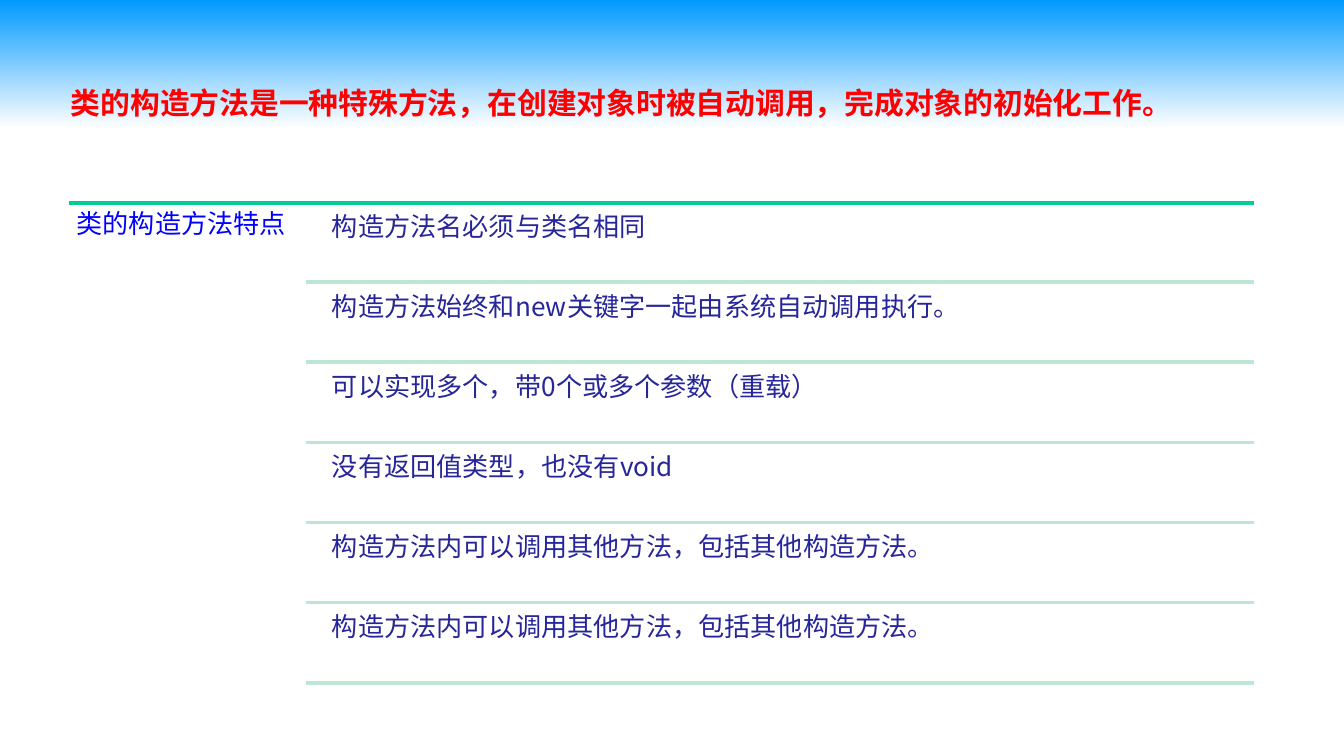
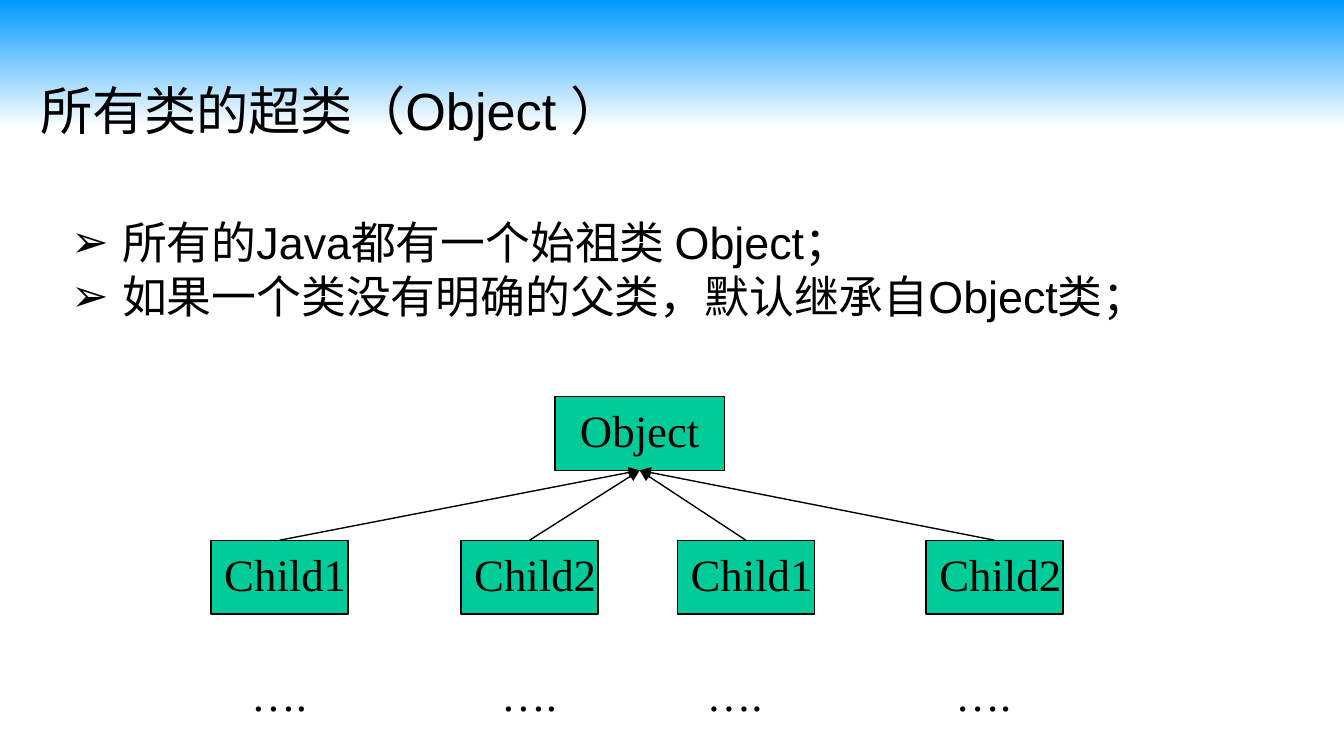
from lxml.etree import SubElement
from pptx import Presentation
from pptx.dml.color import RGBColor
from pptx.enum.shapes import MSO_CONNECTOR, MSO_SHAPE
from pptx.enum.text import MSO_ANCHOR, MSO_AUTO_SIZE, PP_ALIGN
from pptx.oxml.ns import qn
from pptx.util import Inches, Pt

SKY = RGBColor(0x00, 0x99, 0xFF)
WHITE = RGBColor(0xFF, 0xFF, 0xFF)
BLACK = RGBColor(0x00, 0x00, 0x00)
RED = RGBColor(0xFF, 0x00, 0x00)
BLUE = RGBColor(0x00, 0x00, 0xFF)
INDIGO = RGBColor(0x26, 0x26, 0x99)
GREEN = RGBColor(0x00, 0xCC, 0x99)
MINT = RGBColor(0xBD, 0xE7, 0xD4)

CJK = "Noto Sans CJK SC"
SANS = "Arial"
SERIF = "Times New Roman"


def write(tf, text, size=24, font=SANS, color=BLACK, bold=False,
          align=PP_ALIGN.LEFT, spacing=None, bullet=None):
    """Fill a text frame, one paragraph for each line of text."""
    for i, line in enumerate(text.split("\n")):
        p = tf.add_paragraph() if i else tf.paragraphs[0]
        p.alignment = align
        if spacing:
            p.line_spacing = spacing
        if bullet:
            pPr = p._p.get_or_add_pPr()
            pPr.set("marL", str(Inches(0.38)))
            pPr.set("indent", str(-Inches(0.38)))
            SubElement(pPr, qn("a:buFont"), typeface=SANS)
            SubElement(pPr, qn("a:buChar"), char=bullet)
        r = p.add_run()
        r.text = line
        r.font.size = Pt(size)
        r.font.bold = bold
        r.font.color.rgb = color
        r.font.name = font
        SubElement(r._r.get_or_add_rPr(), qn("a:ea"), typeface=CJK)


class Deck:
    def __init__(self):
        self.prs = Presentation()
        self.prs.slide_width = Inches(10)
        self.prs.slide_height = Inches(10) * 9 // 16
        self.s = None

    def slide(self):
        """Start a slide whose blue top fades to white."""
        self.s = self.prs.slides.add_slide(self.prs.slide_layouts[6])
        fill = self.s.background.fill
        fill.gradient()
        fill.gradient_angle = 270
        for stop, pos, color in zip(fill.gradient_stops, (0, 0.17), (SKY, WHITE)):
            stop.position = pos
            stop.color.rgb = color

    def text(self, x, y, w, h, text, wrap=True, grow=True, inset=None, **fmt):
        sp = self.s.shapes.add_textbox(Inches(x), Inches(y), Inches(w), Inches(h))
        tf = sp.text_frame
        tf.word_wrap = wrap
        if grow:
            tf.auto_size = MSO_AUTO_SIZE.SHAPE_TO_FIT_TEXT
        if inset is not None:
            tf.margin_left = tf.margin_right = Inches(inset)
            tf.margin_top = tf.margin_bottom = Inches(inset)
        write(tf, text, **fmt)

    def box(self, x, y, w, h, text, **fmt):
        sp = self.s.shapes.add_shape(MSO_SHAPE.RECTANGLE, Inches(x), Inches(y),
                                     Inches(w), Inches(h))
        sp.shadow.inherit = False
        sp.fill.solid()
        sp.fill.fore_color.rgb = GREEN
        sp.line.color.rgb = BLACK
        sp.line.width = Pt(0.75)
        tf = sp.text_frame
        tf.word_wrap = False
        tf.vertical_anchor = MSO_ANCHOR.TOP
        write(tf, text, font=SERIF, **fmt)
        return sp

    def line(self, x1, y1, x2, y2, color, width):
        c = self.s.shapes.add_connector(MSO_CONNECTOR.STRAIGHT, Inches(x1),
                                        Inches(y1), Inches(x2), Inches(y2))
        c.line.color.rgb = color
        c.line.width = Pt(width)
        SubElement(c._element.spPr, qn("a:effectLst"))
        return c

    def arrow_up(self, child, parent):
        """Join the top of child to the bottom of parent."""
        c = self.line(0, 0, 1, 1, BLACK, 0.75)
        c.begin_connect(child, 0)
        c.end_connect(parent, 2)
        SubElement(c.line._get_or_add_ln(), qn("a:tailEnd"), type="triangle")


def constructor_slide(deck):
    deck.slide()
    deck.text(0.43, 0.53, 8.9, 0.4,
              "类的构造方法是一种特殊方法，在创建对象时被自动调用，完成对象的初始化工作。",
              size=16, font=CJK, color=RED, bold=True, spacing=1.2)

    # Ruled list: heading on the left, features on the right
    right = 9.33
    style = dict(grow=False, inset=0.06, size=14, font=CJK, spacing=0.9)
    deck.line(0.51, 1.51, right, 1.51, GREEN, 2)
    deck.text(0.51, 1.51, 1.76, 3.6, "类的构造方法特点", color=BLUE, **style)
    features = [
        "构造方法名必须与类名相同",
        "构造方法始终和new关键字一起由系统自动调用执行。",
        "可以实现多个，带0个或多个参数（重载）",
        "没有返回值类型，也没有void",
        "构造方法内可以调用其他方法，包括其他构造方法。",
        "构造方法内可以调用其他方法，包括其他构造方法。",
    ]
    first_rule, last_rule = 2.1, 5.08
    pitch = (last_rule - first_rule) / (len(features) - 1)
    for i, feature in enumerate(features):
        rule = first_rule + i * pitch
        deck.text(2.41, rule - 0.57, 6.92, 0.57, feature, color=INDIGO, **style)
        deck.line(2.28, rule, right, rule, MINT, 2)


def object_slide(deck):
    deck.slide()
    deck.text(0.2, 0.53, 5.2, 0.57, "所有类的超类（Object ）", size=28)
    deck.text(0.43, 1.55, 8.38, 0.91,
              "所有的Java都有一个始祖类 Object；\n"
              "如果一个类没有明确的父类，默认继承自Object类；",
              wrap=False, bullet="➢")

    # Class tree: left of each child box and of the dots below it
    parent = deck.box(4.13, 2.95, 1.26, 0.55, "Object", align=PP_ALIGN.CENTER)
    children = [("Child1", 1.57, 1.77), ("Child2", 3.43, 3.63),
                ("Child1", 5.04, 5.16), ("Child2", 6.89, 7.01)]
    for name, box_x, dots_x in children:
        child = deck.box(box_x, 4.02, 1.02, 0.55, name)
        deck.arrow_up(child, parent)
        deck.text(dots_x, 4.91, 0.62, 0.5, "….", wrap=False, font=SERIF)


def main():
    deck = Deck()
    constructor_slide(deck)
    object_slide(deck)
    deck.prs.save("out.pptx")


if __name__ == "__main__":
    main()
